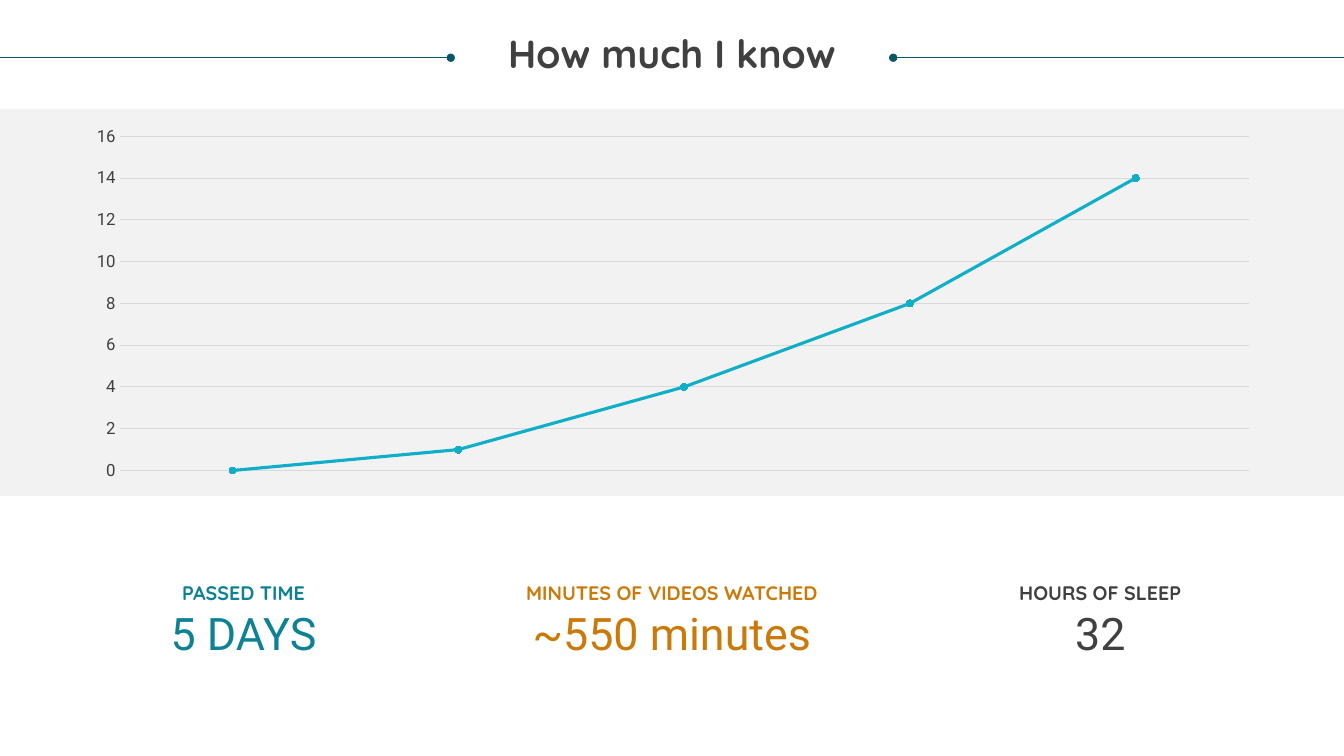
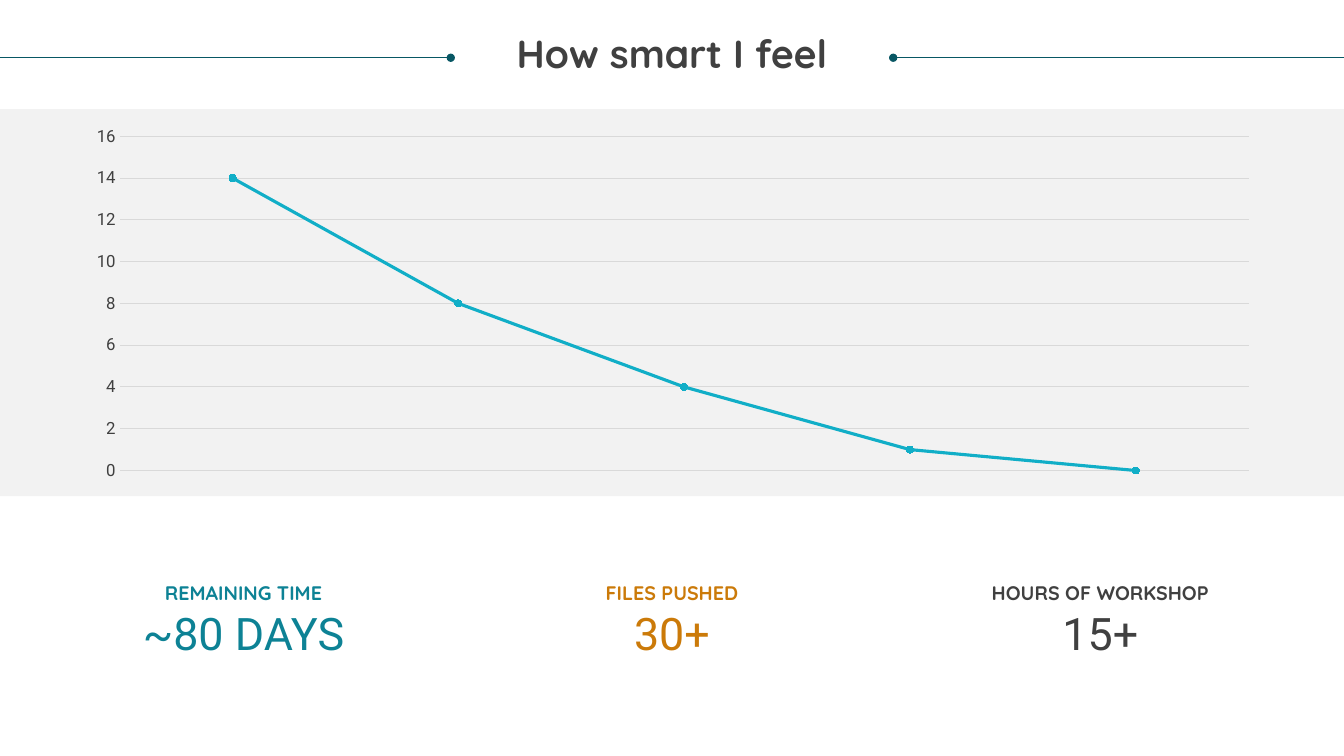
from pptx import Presentation
from pptx.chart.data import CategoryChartData
from pptx.dml.color import RGBColor
from pptx.enum.chart import XL_CHART_TYPE as CHART, XL_MARKER_STYLE as MARKER, XL_TICK_MARK as TICK
from pptx.enum.shapes import MSO_CONNECTOR as CONNECTOR, MSO_SHAPE as SHAPE
from pptx.enum.text import MSO_ANCHOR as ANCHOR, MSO_AUTO_SIZE as AUTO, PP_ALIGN as ALIGN
from pptx.oxml.ns import qn
from pptx.util import Pt
from lxml import etree

COLORS = {"band": "F2F2F2", "rule": "085764", "curve": "11AEC7", "grid": "D9D9D9",
          "dark": "404040", "teal": "0D8295", "amber": "CB7A09"}
HEADING, BODY = "Quicksand", "Roboto"
WIDTH, HEIGHT = 960, 540
RULE_Y, RULE_LENGTH = 41.25, 322
STAT_WIDTH, STAT_PITCH = 216, 306

SLIDES = [
    ("How much I know", (0, 1, 4, 8, 14),
     [("PASSED TIME", "5 DAYS"), ("MINUTES OF VIDEOS WATCHED", "~550 minutes"),
      ("HOURS OF SLEEP", "32")]),
    ("How smart I feel", (14, 8, 4, 1, 0),
     [("REMAINING TIME", "~80 DAYS"), ("FILES PUSHED", "30+"),
      ("HOURS OF WORKSHOP", "15+")]),
]


def rgb(name):
    return RGBColor.from_string(COLORS[name])


def set_text(sp, box, text, font, size, color, bold=False, spacing=None):
    sp.left, sp.top, sp.width, sp.height = [Pt(v) for v in box]
    tf = sp.text_frame
    tf.word_wrap, tf.auto_size = True, AUTO.NONE
    tf.vertical_anchor = ANCHOR.TOP
    tf.margin_left = tf.margin_top = tf.margin_right = tf.margin_bottom = 0
    p = tf.paragraphs[0]
    p.text, p.alignment, p.line_spacing = text, ALIGN.CENTER, spacing
    p.font.name, p.font.size, p.font.bold = font, Pt(size), bold
    p.font.color.rgb = rgb(color)


prs = Presentation()
prs.slide_width, prs.slide_height = Pt(WIDTH), Pt(HEIGHT)

for title, values, stats in SLIDES:
    s = prs.slides.add_slide(prs.slide_layouts[5])
    set_text(s.shapes.title, (18, 24.5, 924, 61), title, HEADING, 28, "dark", True, 0.9)

    band = s.shapes.add_shape(SHAPE.RECTANGLE, 0, Pt(78), Pt(WIDTH), Pt(276.5))
    band.shadow.inherit = False
    band.fill.solid()
    band.fill.fore_color.rgb = rgb("band")
    band.line.fill.background()

    for edge, dot in ((0, RULE_LENGTH), (WIDTH, WIDTH - RULE_LENGTH)):
        rule = s.shapes.add_connector(CONNECTOR.STRAIGHT, Pt(edge), Pt(RULE_Y), Pt(dot), Pt(RULE_Y))
        rule.line.width = Pt(0.5)
        rule.line.color.rgb = rgb("rule")
        etree.SubElement(rule.line._get_or_add_ln(), qn("a:tailEnd"), type="oval")
        etree.SubElement(rule._element.spPr, qn("a:effectLst"))

    data = CategoryChartData()
    data.categories = ["1", "2", "3", "4", "5"]
    data.add_series("Series 1", values)
    chart = s.shapes.add_chart(CHART.LINE_MARKERS, Pt(52), Pt(85), Pt(857), Pt(263.5), data).chart
    chart.has_legend = chart.has_title = False
    chart.font.name, chart.font.size = BODY, Pt(10)
    chart.category_axis.visible = False

    axis = chart.value_axis
    axis.minimum_scale, axis.maximum_scale, axis.major_unit = 0, 16, 2
    axis.major_tick_mark = axis.minor_tick_mark = TICK.NONE
    axis.format.line.fill.background()
    axis.major_gridlines.format.line.width = Pt(0.75)
    axis.major_gridlines.format.line.color.rgb = rgb("grid")
    font = axis.tick_labels.font
    font.name, font.size, font.color.rgb = BODY, Pt(12), rgb("dark")

    chart.plots[0].vary_by_categories = False
    curve = chart.plots[0].series[0]
    curve.smooth = False
    curve.format.line.width = Pt(2.25)
    curve.format.line.color.rgb = rgb("curve")
    curve.marker.style, curve.marker.size = MARKER.CIRCLE, 5
    curve.marker.format.fill.solid()
    curve.marker.format.fill.fore_color.rgb = rgb("curve")
    curve.marker.format.line.color.rgb = rgb("curve")

    for i, ((label, value), color) in enumerate(zip(stats, ("teal", "amber", "dark"))):
        left = (WIDTH - STAT_WIDTH) / 2 + (i - 1) * STAT_PITCH
        set_text(s.shapes.add_textbox(0, 0, 0, 0), (left, 433, STAT_WIDTH, 39),
                 value, BODY, 32, color)
        set_text(s.shapes.add_textbox(0, 0, 0, 0), (left, 412.5, STAT_WIDTH, 17.5),
                 label, HEADING, 14, color, True, Pt(19))

prs.save("out.pptx")
